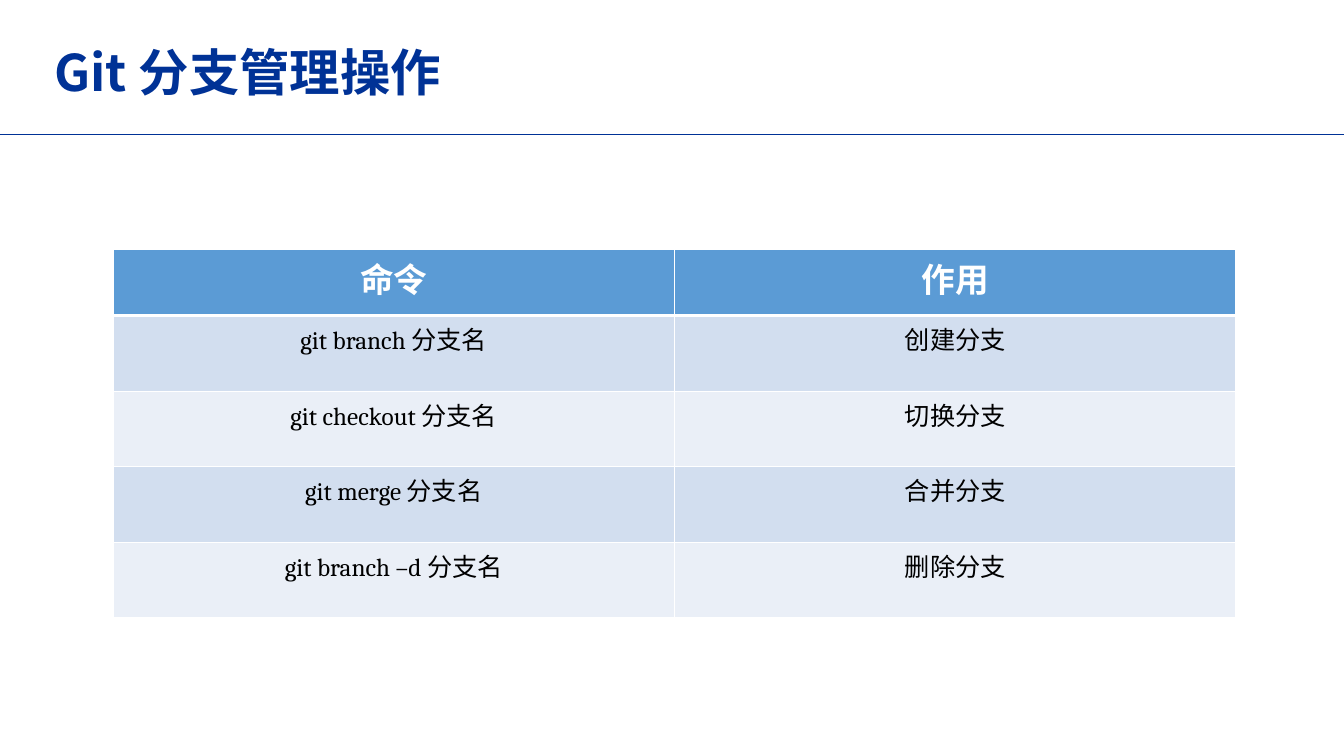
import pptx
import pptx.dml.color
import pptx.enum.shapes
import pptx.enum.text
import pptx.oxml
import pptx.oxml.ns
import pptx.util

WIDTH, HEIGHT = pptx.util.Inches(13.33), pptx.util.Inches(7.5)
NAVY, WHITE, BLACK = "003296", "FFFFFF", "000000"
HEADER_FILL = "5B9BD5"
BAND_FILLS = ("D2DEEF", "EAEFF7")
CJK_FONT = "Noto Sans CJK SC"
COMMANDS = [
    ("命令", "作用"),
    ("git branch 分支名", "创建分支"),
    ("git checkout 分支名", "切换分支"),
    ("git merge 分支名", "合并分支"),
    ("git branch –d 分支名", "删除分支"),
]


def color(value):
    return pptx.dml.color.RGBColor.from_string(value)


def xml(markup):
    return pptx.oxml.parse_xml(markup.replace(" ", f" {pptx.oxml.ns.nsdecls('a')} ", 1))


def add_run(paragraph, text, size, font, ink, bold):
    run = paragraph.add_run()
    run.text = text
    run.font.size = pptx.util.Pt(size)
    run.font.name = font
    run.font.bold = bold
    run.font.color.rgb = color(ink)
    run.font._element.append(xml(f'<a:ea typeface="{CJK_FONT}"/>'))


def add_heading(slide, text):
    title = slide.shapes.title
    title.left, title.top = pptx.util.Inches(0.44), pptx.util.Inches(0.43)
    title.width, title.height = pptx.util.Inches(11.5), pptx.util.Inches(0.64)
    title.text_frame.vertical_anchor = pptx.enum.text.MSO_ANCHOR.MIDDLE
    title.text_frame.word_wrap = True
    paragraph = title.text_frame.paragraphs[0]
    paragraph.alignment = pptx.enum.text.PP_ALIGN.LEFT
    paragraph.line_spacing = 0.9
    add_run(paragraph, text, 36, CJK_FONT, NAVY, True)


def add_rule(slide, y):
    rule = slide.shapes.add_connector(
        pptx.enum.shapes.MSO_CONNECTOR.STRAIGHT, 0, y, WIDTH, y)
    rule.line.color.rgb = color(NAVY)
    rule.line.width = pptx.util.Pt(0.5)
    rule._element.spPr.append(xml("<a:effectLst />"))


def set_borders(cell, widths):
    properties = cell._tc.get_or_add_tcPr()
    for side, points in widths.items():
        properties.append(xml(
            f'<a:ln{side} w="{pptx.util.Pt(points)}"><a:solidFill>'
            f'<a:srgbClr val="{WHITE}"/></a:solidFill></a:ln{side}>'))


def fill_cell(cell, text, row):
    header = row == 0
    set_borders(cell, {"L": 1, "R": 1, "T": 3 if row == 1 else 1, "B": 3 if header else 1})
    cell.fill.solid()
    cell.fill.fore_color.rgb = color(HEADER_FILL if header else BAND_FILLS[(row - 1) % 2])
    paragraph = cell.text_frame.paragraphs[0]
    paragraph.alignment = pptx.enum.text.PP_ALIGN.CENTER
    add_run(paragraph, text, 24 if header else 18, "Cambria", WHITE if header else BLACK, header)


def add_command_table(slide, commands):
    header_height, body_height = pptx.util.Inches(0.66), pptx.util.Inches(0.75)
    table = slide.shapes.add_table(
        len(commands), len(commands[0]), pptx.util.Inches(1.12), pptx.util.Inches(2.47),
        pptx.util.Inches(11.14), header_height + body_height * (len(commands) - 1)).table
    for row, texts in enumerate(commands):
        table.rows[row].height = body_height if row else header_height
        for column, text in enumerate(texts):
            fill_cell(table.cell(row, column), text, row)


def main():
    deck = pptx.Presentation()
    deck.slide_width, deck.slide_height = WIDTH, HEIGHT
    slide = deck.slides.add_slide(deck.slide_layouts[5])
    add_rule(slide, pptx.util.Inches(1.33))
    add_heading(slide, "Git 分支管理操作")
    add_command_table(slide, COMMANDS)
    deck.save("out.pptx")


if __name__ == "__main__":
    main()
